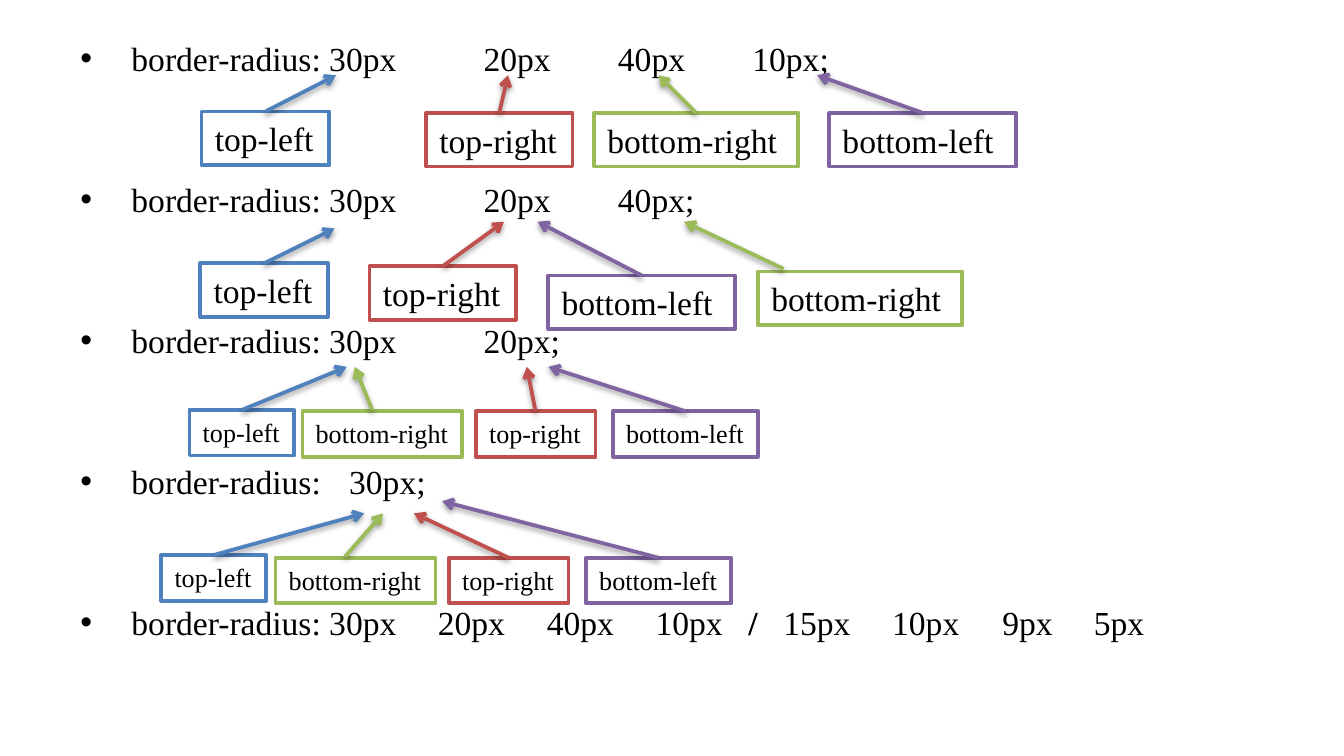
import pptx
import pptx.dml.color
import pptx.enum.shapes
import pptx.enum.text
import pptx.oxml
import pptx.oxml.ns
import pptx.util

Inches = pptx.util.Inches
Pt = pptx.util.Pt
NAMESPACE = pptx.oxml.ns.nsdecls("a")


def color(value):
    return pptx.dml.color.RGBColor.from_string(value)


def write(para, text, size=18, bold=False, ink="000000"):
    span = para.add_run()
    span.text = text
    span.font.name = "Times New Roman"
    span.font.size = Pt(size)
    span.font.bold = bold
    span.font.color.rgb = color(ink)


deck = pptx.Presentation()
deck.slide_width = Inches(10)
deck.slide_height = Inches(10) * 9 // 16
page = deck.slides.add_slide(deck.slide_layouts[6])

inch_stops = [2, 3, 4, 5]
radius_stops = [2.66, 3.47, 4.28, 4.97, 5.23, 6.04, 6.86, 7.54]
declarations = [
    (inch_stops, ["border-radius: 30px \t20px \t40px \t10px;"]),
    (inch_stops, ["border-radius: 30px \t20px \t40px;"]),
    (inch_stops, ["border-radius: 30px \t20px;"]),
    (inch_stops, ["border-radius: \t30px;"]),
    (radius_stops,
     ["border-radius: 30px\t20px\t40px\t10px\t", "/", "\t15px\t10px\t9px\t5px"]),
]

body = page.shapes.add_textbox(Inches(0.5), Inches(0.23), Inches(9), Inches(5.25))
body.text_frame.word_wrap = True
for index, (stops, parts) in enumerate(declarations):
    para = body.text_frame.add_paragraph() if index else body.text_frame.paragraphs[0]
    para.space_before = Pt(54 if index else 0)
    for part in parts:
        write(para, part, bold=part == "/")
    properties = para._p.get_or_add_pPr()
    properties.set("marL", str(Inches(0.38)))
    properties.set("indent", str(Inches(-0.38)))
    tabs = "".join(f'<a:tab pos="{Inches(stop)}" algn="l"/>' for stop in stops)
    for element in (
        f'<a:buFont {NAMESPACE} typeface="Arial"/>',
        f'<a:buChar {NAMESPACE} char="•"/>',
        f"<a:tabLst {NAMESPACE}>{tabs}</a:tabLst>",
    ):
        properties.append(pptx.oxml.parse_xml(element))

corner_colors = {
    "top-left": "4F81BD",
    "top-right": "C0504D",
    "bottom-left": "8064A2",
    "bottom-right": "9BBB59",
}
large = {"top-left": 0.95, "top-right": 1.09, "bottom-left": 1.39, "bottom-right": 1.52}
small = {"top-left": 0.78, "top-right": 0.89, "bottom-left": 1.08, "bottom-right": 1.19}

rows = [
    (18, 0.4, large, [
        ("top-left", 1.5, 0.83, (2.5, 0.56), None),
        ("top-right", 3.17, 0.84, (3.78, 0.56), None),
        ("bottom-left", 6.17, 0.84, (6.08, 0.56), None),
        ("bottom-right", 4.42, 0.84, (4.9, 0.56), None),
    ]),
    (18, 0.4, large, [
        ("top-left", 1.49, 1.96, (2.49, 1.7), None),
        ("top-right", 2.75, 1.98, (3.75, 1.65), None),
        ("bottom-left", 4.08, 2.05, (4, 1.65), None),
        ("bottom-right", 5.64, 2.02, (5.09, 1.65), (5.83, 2)),
    ]),
    (14, 0.34, small, [
        ("top-left", 1.41, 3.05, (2.58, 2.73), None),
        ("top-right", 3.54, 3.06, (3.92, 2.73), None),
        ("bottom-left", 4.56, 3.06, (4.08, 2.73), None),
        ("bottom-right", 2.25, 3.06, (2.64, 2.73), (2.77, 3.05)),
    ]),
    (14, 0.34, small, [
        ("top-left", 1.2, 4.13, (2.71, 3.82), None),
        ("top-right", 3.34, 4.15, (3.08, 3.82), None),
        ("bottom-left", 4.36, 4.15, (3.29, 3.73), None),
        ("bottom-right", 2.05, 4.15, (2.85, 3.82), (2.57, 4.14)),
    ]),
]

shadow = (
    f'<a:effectLst {NAMESPACE}><a:outerShdw blurRad="{Pt(3.1)}" dist="{Pt(1.6)}" dir="5400000" '
    'rotWithShape="0"><a:srgbClr val="000000"><a:alpha val="38000"/></a:srgbClr>'
    "</a:outerShdw></a:effectLst>"
)

for size, height, widths, labels in rows:
    boxes = []
    for corner, left, top, tip, start in labels:
        box = page.shapes.add_textbox(
            Inches(left), Inches(top), Inches(widths[corner]), Inches(height))
        box.fill.solid()
        box.fill.fore_color.rgb = color("FFFFFF")
        box.line.color.rgb = color(corner_colors[corner])
        box.line.width = Pt(2)
        box.text_frame.word_wrap = False
        box.text_frame.auto_size = pptx.enum.text.MSO_AUTO_SIZE.SHAPE_TO_FIT_TEXT
        write(box.text_frame.paragraphs[0], corner, size=size)
        boxes.append(box)

    for box, (corner, left, top, tip, start) in zip(boxes, labels):
        start_x, start_y = start or (left + widths[corner] / 2, top)
        arrow = page.shapes.add_connector(
            pptx.enum.shapes.MSO_CONNECTOR.STRAIGHT,
            Inches(start_x), Inches(start_y), Inches(tip[0]), Inches(tip[1]))
        if start is None:
            arrow.begin_connect(box, 0)
        arrow.line.color.rgb = color(corner_colors[corner])
        arrow.line.width = Pt(2)
        arrow.line._get_or_add_ln().append(
            pptx.oxml.parse_xml(f'<a:tailEnd {NAMESPACE} type="arrow"/>'))
        arrow._element.spPr.append(pptx.oxml.parse_xml(shadow))

deck.save("out.pptx")
